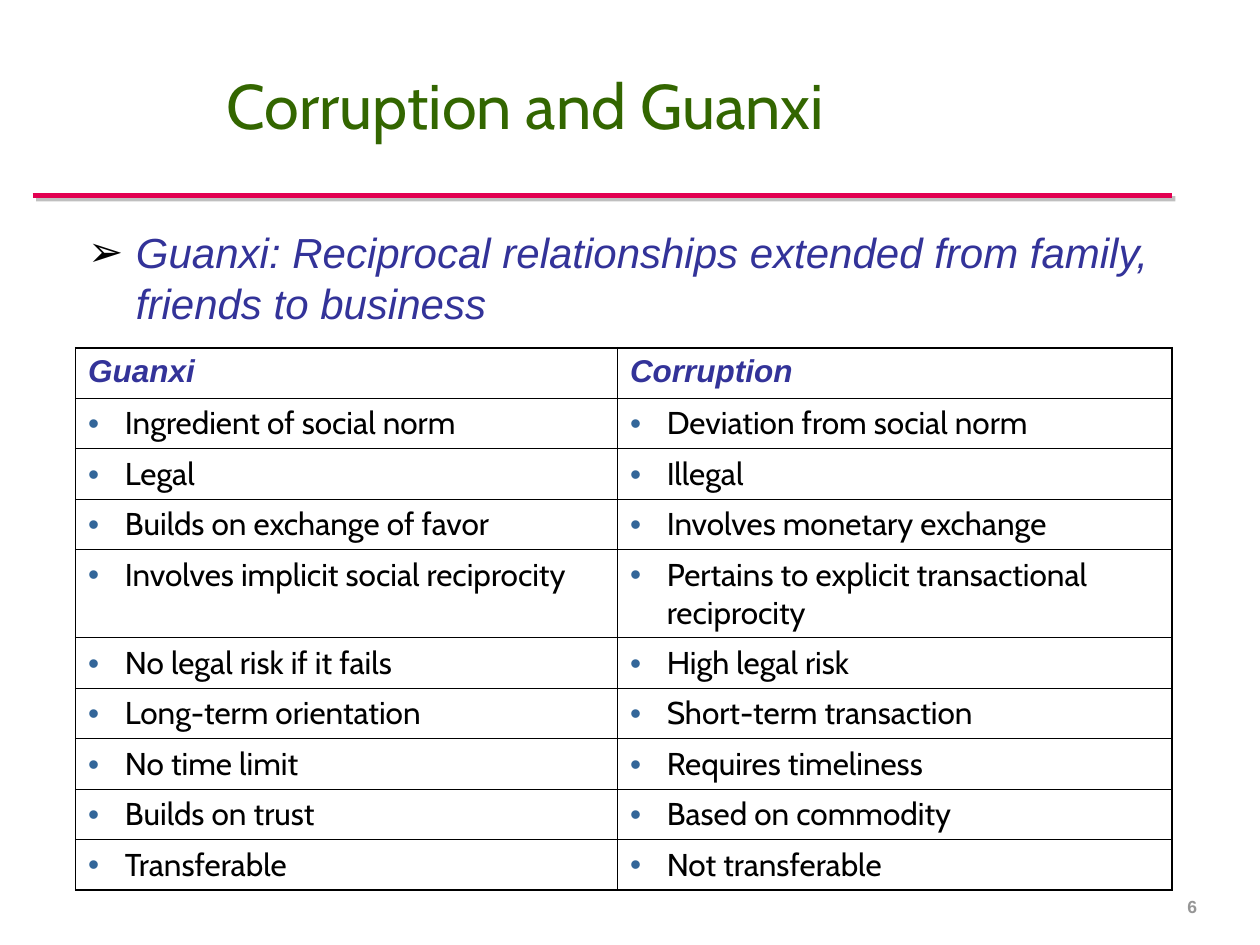
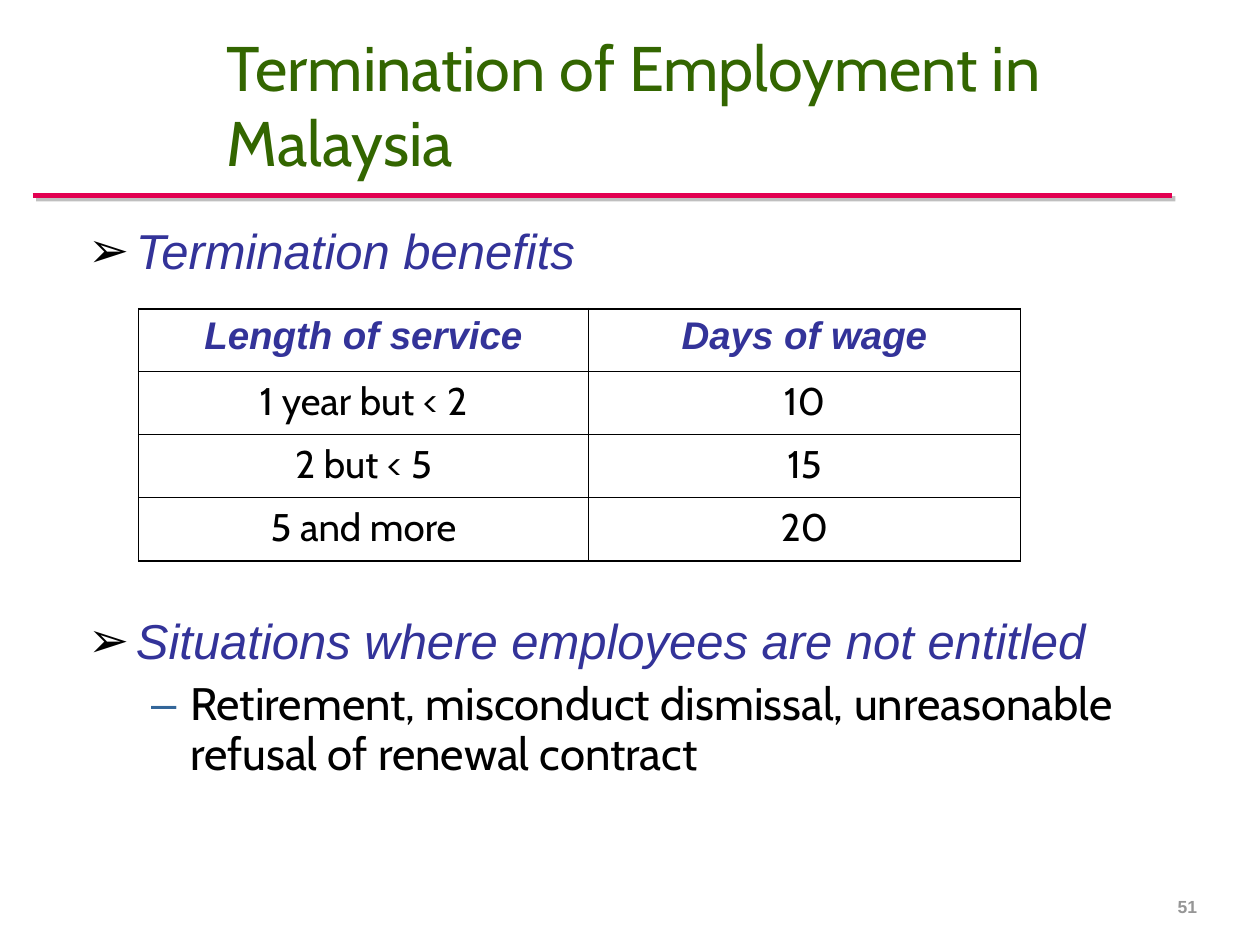
from lxml.etree import SubElement
from pptx import Presentation
from pptx.dml.color import RGBColor
from pptx.enum.shapes import MSO_CONNECTOR
from pptx.enum.text import MSO_ANCHOR, MSO_AUTO_SIZE, PP_ALIGN
from pptx.oxml import parse_xml
from pptx.oxml.ns import nsdecls, qn
from pptx.util import Pt

COLORS = {"title": "336600", "rule": "E20051", "shadow": "808080", "heading": "333399",
          "text": "000000", "bullet": "336699", "number": "969696"}

slides = [
    {"title": "Corruption and Guanxi", "number": "6", "body_height": 67.7,
     "body": [("Guanxi: Reciprocal relationships extended from family, friends to business", 24, 0)],
     "table": {"at": (43.2, 198.7), "cols": (309.6, 316.8), "size": 18, "bulleted": True,
               "heights": [28.8] * 4 + [50.4] + [28.8] * 5,
               "rows": [("Guanxi", "Corruption"),
                        ("Ingredient of social norm", "Deviation from social norm"),
                        ("Legal", "Illegal"),
                        ("Builds on exchange of favor", "Involves monetary exchange"),
                        ("Involves implicit social reciprocity",
                         "Pertains to explicit transactional reciprocity"),
                        ("No legal risk if it fails", "High legal risk"),
                        ("Long-term orientation", "Short-term transaction"),
                        ("No time limit", "Requires timeliness"),
                        ("Builds on trust", "Based on commodity"),
                        ("Transferable", "Not transferable")]}},
    {"title": "Termination of Employment in Malaysia", "number": "51", "body_height": 372.2,
     "body": [("Termination benefits", 28, 0),
              ("Situations where employees are not entitled", 28, 193),
              ("Retirement, misconduct dismissal, unreasonable refusal of renewal contract", 26, 6.5)],
     "table": {"at": (79.2, 176.4), "cols": (257, 247), "size": 22, "bulleted": False,
               "heights": [36] * 4,
               "rows": [("Length of service", "Days of wage"),
                        ("1 year but < 2", "10"),
                        ("2 but < 5", "15"),
                        ("5 and more", "20")]}},
]


def add_bullet(p, char, color, left, hang):
    pPr = p._p.get_or_add_pPr()
    pPr.set("marL", str(Pt(left)))
    pPr.set("indent", str(-Pt(hang)))
    SubElement(SubElement(pPr, qn("a:buClr")), qn("a:srgbClr")).set("val", COLORS[color])
    SubElement(pPr, qn("a:buFont")).set("typeface", "Arial")
    SubElement(pPr, qn("a:buChar")).set("char", char)


def add_run(p, text, size, color, font="Cabin", bold=False, italic=False):
    r = p.add_run()
    r.text = text
    r.font.size, r.font.name = Pt(size), font
    r.font.bold, r.font.italic = bold, italic
    r.font.color.rgb = RGBColor.from_string(COLORS[color])


prs = Presentation()
prs.slide_width, prs.slide_height = Pt(720), Pt(540)

for data in slides:
    s = prs.slides.add_slide(prs.slide_layouts[5])

    rule = s.shapes.add_connector(MSO_CONNECTOR.STRAIGHT, Pt(18.7), Pt(111.6), Pt(669.6), Pt(111.6))
    rule.line.width = Pt(3)
    rule.line.color.rgb = RGBColor.from_string(COLORS["rule"])
    rule._element.spPr.append(parse_xml(
        f'<a:effectLst {nsdecls("a")}><a:outerShdw dist="{Pt(2.8)}" dir="2700000">'
        f'<a:srgbClr val="{COLORS["shadow"]}"><a:alpha val="50000"/></a:srgbClr>'
        '</a:outerShdw></a:effectLst>'))

    title = s.shapes.title
    title.left, title.top, title.width, title.height = Pt(115.2), Pt(32.4), Pt(550.8), Pt(54)
    tf = title.text_frame
    tf.auto_size = MSO_AUTO_SIZE.NONE
    tf.word_wrap = True
    tf.vertical_anchor = MSO_ANCHOR.MIDDLE
    tf.margin_left = Pt(14.4)
    tf.paragraphs[0].alignment = PP_ALIGN.LEFT
    add_run(tf.paragraphs[0], data["title"], 36, "title")

    body = s.shapes.add_textbox(Pt(43.2), Pt(126), Pt(630), Pt(data["body_height"]))
    tf = body.text_frame
    tf.word_wrap = True
    for i, (text, size, before) in enumerate(data["body"]):
        p = tf.paragraphs[0] if i == 0 else tf.add_paragraph()
        if size == 26:
            add_bullet(p, "–", "bullet", 58.3, 22.3)
            add_run(p, text, size, "text")
        else:
            add_bullet(p, "➢", "text", 27.4, 27.4)
            add_run(p, text, size, "heading", "Arial", italic=True)
        p.space_before = Pt(before)
        p.line_spacing = 1.0 if size == 24 else 0.9

    spec_table = data["table"]
    rows, cols, heights = spec_table["rows"], spec_table["cols"], spec_table["heights"]
    left, top = spec_table["at"]
    table = s.shapes.add_table(len(rows), len(cols), Pt(left), Pt(top),
                               Pt(sum(cols)), Pt(sum(heights))).table
    table.first_row = table.horz_banding = False
    for column, width in zip(table.columns, cols):
        column.width = Pt(width)
    for i, texts in enumerate(rows):
        table.rows[i].height = Pt(heights[i])
        for j, text in enumerate(texts):
            cell = table.cell(i, j)
            cell.margin_left = cell.margin_right = Pt(7.2)
            cell.margin_top = cell.margin_bottom = Pt(3.6)
            outer = {"L": j == 0, "R": j == len(cols) - 1, "T": i == 0, "B": i == len(rows) - 1}
            for side, is_outer in outer.items():
                cell._tc.get_or_add_tcPr().append(parse_xml(
                    f'<a:ln{side} {nsdecls("a")} w="{Pt(1.08 if is_outer else 0.45)}"><a:solidFill>'
                    f'<a:srgbClr val="{COLORS["text"]}"/></a:solidFill></a:ln{side}>'))
            cell.fill.background()
            p = cell.text_frame.paragraphs[0]
            p.alignment = PP_ALIGN.LEFT if spec_table["bulleted"] else PP_ALIGN.CENTER
            if i == 0:
                add_run(p, text, spec_table["size"], "heading", "Arial", True, True)
            else:
                if spec_table["bulleted"]:
                    add_bullet(p, "•", "bullet", 21, 21)
                add_run(p, text, spec_table["size"], "text")

    number = s.shapes.add_textbox(Pt(635.8), Pt(508.3), Pt(48.2), Pt(19.4))
    tf = number.text_frame
    tf.word_wrap = True
    tf.vertical_anchor = MSO_ANCHOR.BOTTOM
    tf.margin_left = tf.margin_right = 0
    tf.paragraphs[0].alignment = PP_ALIGN.RIGHT
    add_run(tf.paragraphs[0], data["number"], 10, "number", "Arial", bold=True)

prs.save("out.pptx")
